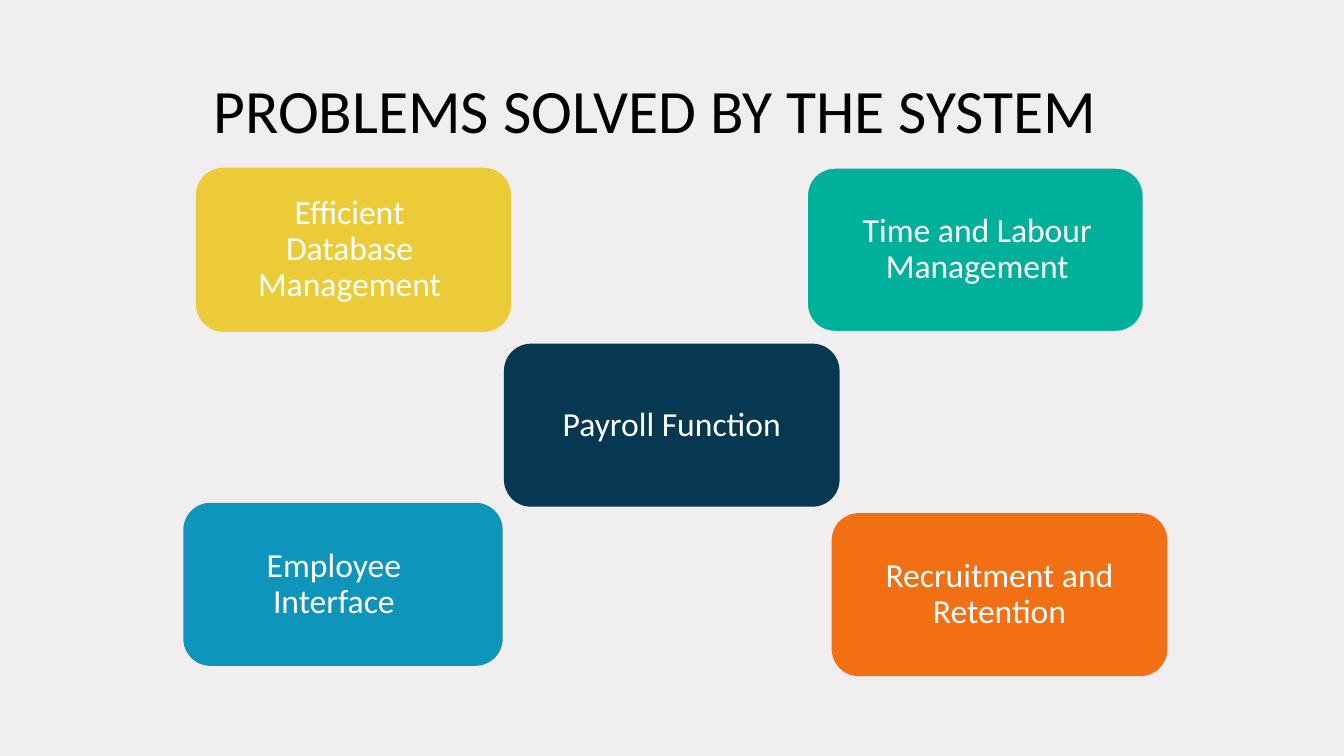
from pptx import Presentation
from pptx.dml.color import RGBColor
from pptx.enum import shapes, text
from pptx.util import Cm, Pt

BACK = RGBColor(0xF0, 0xEE, 0xEF)
BLACK = RGBColor(0, 0, 0)
WHITE = RGBColor(0xFF, 0xFF, 0xFF)
NAVY = RGBColor(0x06, 0x39, 0x51)
GREEN = RGBColor(0x00, 0xB0, 0x9B)
ORANGE = RGBColor(0xF3, 0x6F, 0x13)
BLUE = RGBColor(0x0D, 0x95, 0xBC)
YELLOW = RGBColor(0xEB, 0xCB, 0x38)

TITLE = "PROBLEMS SOLVED BY THE SYSTEM"
# label, left, top, width, text width, text shift (cm), fill, line
CARDS = [
    ("Payroll Function", 12.7, 8.66, 8.46, 6.02, 0, NAVY, None),
    ("Time and Labour Management", 20.35, 4.24, 8.46, 6.02, 0.05, GREEN, BACK),
    ("Recruitment and Retention", 20.96, 12.93, 8.46, 6.02, 0, ORANGE, None),
    ("Employee Interface", 4.62, 12.67, 8.05, 5, -0.23, BLUE, None),
    ("Efficient Database Management", 4.95, 4.24, 7.92, 4.72, -0.1, YELLOW, YELLOW),
]
HIGH = 4.11
ROUND = 0.2  # side space that the round corners already keep free of text


def write(frame, words, size, color, align):
    frame.word_wrap = True
    frame.vertical_anchor = text.MSO_ANCHOR.MIDDLE
    para = frame.paragraphs[0]
    para.text = words
    para.alignment = align
    para.line_spacing = 0.9
    para.font.name = "Calibri"
    para.font.size = Pt(size)
    para.font.color.rgb = color


def add_card(slide, label, left, top, width, room, shift, fill, line):
    card = slide.shapes.add_shape(
        shapes.MSO_SHAPE.ROUNDED_RECTANGLE,
        Cm(left), Cm(top), Cm(width), Cm(HIGH))
    card.shadow.inherit = False
    card.fill.solid()
    card.fill.fore_color.rgb = fill
    if line is None:
        card.line.fill.background()
    else:
        card.line.color.rgb = line
        card.line.width = Pt(0.75)
    side = (width - room) / 2 - ROUND
    frame = card.text_frame
    frame.margin_left = Cm(side + shift)
    frame.margin_right = Cm(side - shift)
    frame.margin_top = frame.margin_bottom = 0
    write(frame, label, 24, WHITE, text.PP_ALIGN.CENTER)


deck = Presentation()
deck.slide_width, deck.slide_height = Cm(33.87), Cm(19.05)
slide = deck.slides.add_slide(deck.slide_layouts[6])
slide.background.fill.solid()
slide.background.fill.fore_color.rgb = BACK

title = slide.shapes.add_textbox(Cm(2.33), Cm(1.02), Cm(29.21), Cm(3.68))
title.text_frame.margin_left = Cm(3.05)
write(title.text_frame, TITLE, 44, BLACK, text.PP_ALIGN.LEFT)

for card in CARDS:
    add_card(slide, *card)

deck.save("out.pptx")
